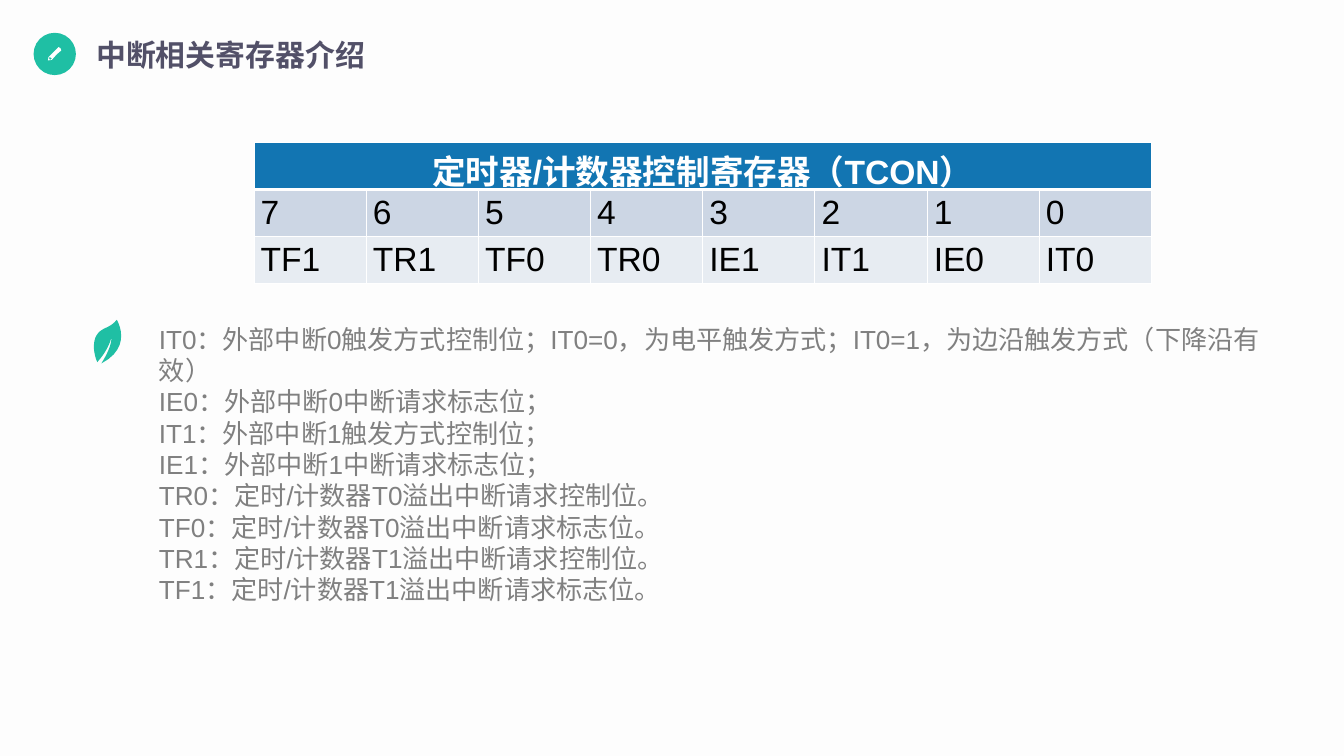
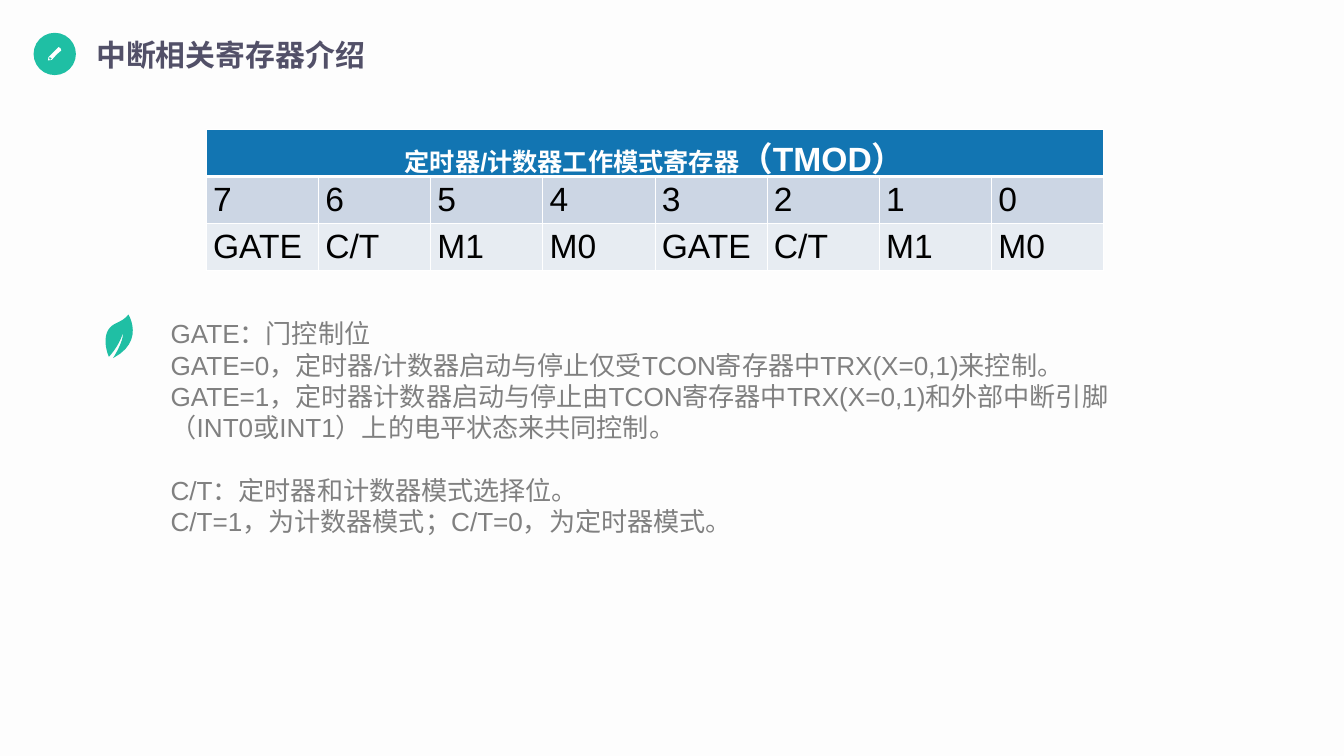
from lxml.etree import SubElement
from pptx import Presentation
from pptx.dml.color import RGBColor
from pptx.enum.shapes import MSO_SHAPE
from pptx.enum.text import MSO_ANCHOR, MSO_AUTO_SIZE, PP_ALIGN
from pptx.oxml.ns import qn
from pptx.util import Cm, Pt

BACKGROUND = RGBColor(0xFD, 0xFD, 0xFD)
GREEN = RGBColor(0x1F, 0xBF, 0xA4)
TITLE_COLOR = RGBColor(0x52, 0x50, 0x68)
GREY = RGBColor(0x80, 0x80, 0x80)
WHITE = RGBColor(0xFF, 0xFF, 0xFF)
BLACK = RGBColor(0x00, 0x00, 0x00)
HEADER_BLUE = RGBColor(0x12, 0x75, 0xB2)
ROW_FILLS = [RGBColor(0xCC, 0xD6, 0xE4), RGBColor(0xE7, 0xEC, 0xF2)]

FONT = "Arial"
TITLE = "中断相关寄存器介绍"
BITS = ["7", "6", "5", "4", "3", "2", "1", "0"]
COL_WIDTH = Cm(4.24)
ROW_HEIGHT = Cm(1.78)
LINE_PITCH = Pt(33.6)

# Outlines in hundredths of an inch from the icon's top left corner
ICON_UNIT = Cm(2.54) / 100
STEPS_PER_UNIT = 100
PENCIL = [
    [(19, 2), (16, 0), (9, 7), (1, 15), (0, 20), (6, 19), (13, 11), (20, 5)],
    [(5, 18), (3, 19), (2, 17), (2, 15), (5, 16), (6, 18)],
]
LEAF_START = (9, 63)
LEAF_CURVES = [
    [(9, 63), (0, 44), (6, 27)],
    [(13, 10), (26, 15), (38, 0)],
    [(38, 0), (63, 40), (15, 65)],
    [(15, 65), (31, 41), (30, 26)],
    [(30, 26), (27, 43), (9, 63)],
]


def style_run(r, size, color, bold=False):
    r.font.name = FONT
    r.font.size = Pt(size)
    r.font.bold = bold
    r.font.color.rgb = color


def paint(sp, color):
    sp.fill.solid()
    sp.fill.fore_color.rgb = color
    sp.line.fill.background()
    sp.shadow.inherit = False


def curve_points(start, curves, steps=12):
    """Sample a chain of cubic Bezier curves."""
    points = [start]
    for b, c, d in curves:
        a = points[-1]
        for i in range(1, steps + 1):
            t = i / steps
            weights = ((1 - t) ** 3, 3 * t * (1 - t) ** 2, 3 * t * t * (1 - t), t ** 3)
            points.append(tuple(sum(w * p[k] for w, p in zip(weights, (a, b, c, d)))
                                for k in (0, 1)))
    return points


def add_outline(slide, left, top, contours, color):
    builder = None
    for contour in contours:
        (x, y), *rest = [(round(px * STEPS_PER_UNIT), round(py * STEPS_PER_UNIT))
                         for px, py in contour]
        if builder is None:
            builder = slide.shapes.build_freeform(x, y, ICON_UNIT / STEPS_PER_UNIT)
        else:
            builder.move_to(x, y)
        builder.add_line_segments(rest, close=True)
    paint(builder.convert_to_shape(left, top), color)


def add_heading(slide, left, top):
    """Round pencil badge with the slide title to its right."""
    badge = slide.shapes.add_shape(MSO_SHAPE.OVAL, left, top, Cm(1.6), Cm(1.6))
    paint(badge, GREEN)
    add_outline(slide, left + Cm(0.54), top + Cm(0.54), PENCIL, WHITE)

    title = slide.shapes.title
    title.left, title.top = left + Cm(2.11), top
    title.width, title.height = Cm(16.71), Cm(1.63)
    tf = title.text_frame
    tf.text = TITLE
    tf.word_wrap = True
    tf.auto_size = MSO_AUTO_SIZE.SHAPE_TO_FIT_TEXT
    tf.vertical_anchor = MSO_ANCHOR.MIDDLE
    p = tf.paragraphs[0]
    p.alignment = PP_ALIGN.LEFT
    style_run(p.runs[0], 32, TITLE_COLOR, bold=True)


def format_cell(cell, fill, bottom_width=1):
    tc_pr = cell._tc.get_or_add_tcPr()
    for side in ("lnL", "lnR", "lnT", "lnB"):
        width = bottom_width if side == "lnB" else 1
        ln = SubElement(tc_pr, qn(f"a:{side}"), w=str(Pt(width)))
        SubElement(SubElement(ln, qn("a:solidFill")), qn("a:srgbClr"), val=str(WHITE))
    cell.fill.solid()
    cell.fill.fore_color.rgb = fill


def add_register_table(slide, left, top, header, names):
    """Merged header over a row of bit numbers and a row of bit names."""
    n = len(BITS)
    table = slide.shapes.add_table(3, n, left, top, COL_WIDTH * n, ROW_HEIGHT * 3).table
    for column in table.columns:
        column.width = COL_WIDTH

    for cell in table.rows[0].cells:
        format_cell(cell, HEADER_BLUE, bottom_width=3)
    head = table.cell(0, 0)
    head.merge(table.cell(0, n - 1))
    p = head.text_frame.paragraphs[0]
    p.alignment = PP_ALIGN.CENTER
    for text, size in header:
        r = p.add_run()
        r.text = text
        style_run(r, size, WHITE, bold=True)

    for row, (texts, fill) in enumerate(zip((BITS, names), ROW_FILLS), start=1):
        for col, text in enumerate(texts):
            cell = table.cell(row, col)
            cell.text_frame.text = text
            cell.vertical_anchor = MSO_ANCHOR.MIDDLE
            style_run(cell.text_frame.paragraphs[0].runs[0], 36, BLACK)
            format_cell(cell, fill)


def add_notes_block(slide, left, top, width, height, groups):
    """Leaf marker and bit descriptions, one blank line's gap between groups."""
    add_outline(slide, left, top, [curve_points(LEAF_START, LEAF_CURVES)], GREEN)
    sp = slide.shapes.add_textbox(left + Cm(2.31), top, width, height)
    tf = sp.text_frame
    tf.text = "\n".join(line for group in groups for line in group)
    tf.word_wrap = True
    tf.auto_size = MSO_AUTO_SIZE.SHAPE_TO_FIT_TEXT
    group_starts = {group[0] for group in groups[1:]}
    for p in tf.paragraphs:
        p.line_spacing = LINE_PITCH
        if p.text in group_starts:
            p.space_before = LINE_PITCH
        style_run(p.runs[0], 28, GREY)


def add_register_slide(prs):
    slide = prs.slides.add_slide(prs.slide_layouts[5])
    slide.background.fill.solid()
    slide.background.fill.fore_color.rgb = BACKGROUND
    add_heading(slide, Cm(1.27), Cm(1.24))
    return slide


def add_tcon_slide(prs):
    slide = add_register_slide(prs)
    add_register_table(
        slide, Cm(9.6), Cm(5.38),
        [("定时器/计数器控制寄存器（TCON）", 36)],
        ["TF1", "TR1", "TF0", "TR0", "IE1", "IT1", "IE0", "IT0"])
    add_notes_block(slide, Cm(3.45), Cm(12.09), Cm(44.02), Cm(11.02), [[
        "IT0：外部中断0触发方式控制位；IT0=0，为电平触发方式；IT0=1，为边沿触发方式（下降沿有效）",
        "IE0：外部中断0中断请求标志位；",
        "IT1：外部中断1触发方式控制位；",
        "IE1：外部中断1中断请求标志位；",
        "TR0：定时/计数器T0溢出中断请求控制位。",
        "TF0：定时/计数器T0溢出中断请求标志位。",
        "TR1：定时/计数器T1溢出中断请求控制位。",
        "TF1：定时/计数器T1溢出中断请求标志位。",
    ]])


def add_tmod_slide(prs):
    slide = add_register_slide(prs)
    add_register_table(
        slide, Cm(7.8), Cm(4.9),
        [("定时器/计数器工作模式寄存器", 27), ("（TMOD）", 36)],
        ["GATE", "C/T", "M1", "M0"] * 2)
    add_notes_block(slide, Cm(3.89), Cm(11.89), Cm(38.35), Cm(8.64), [
        [
            "GATE：门控制位",
            "GATE=0，定时器/计数器启动与停止仅受TCON寄存器中TRX(X=0,1)来控制。",
            "GATE=1，定时器计数器启动与停止由TCON寄存器中TRX(X=0,1)和外部中断引脚"
            "（INT0或INT1）上的电平状态来共同控制。",
        ],
        [
            "C/T：定时器和计数器模式选择位。",
            "C/T=1，为计数器模式；C/T=0，为定时器模式。",
        ],
    ])


def main():
    prs = Presentation()
    prs.slide_width, prs.slide_height = Cm(50.8), Cm(28.58)
    add_tcon_slide(prs)
    add_tmod_slide(prs)
    prs.save("out.pptx")


if __name__ == "__main__":
    main()
